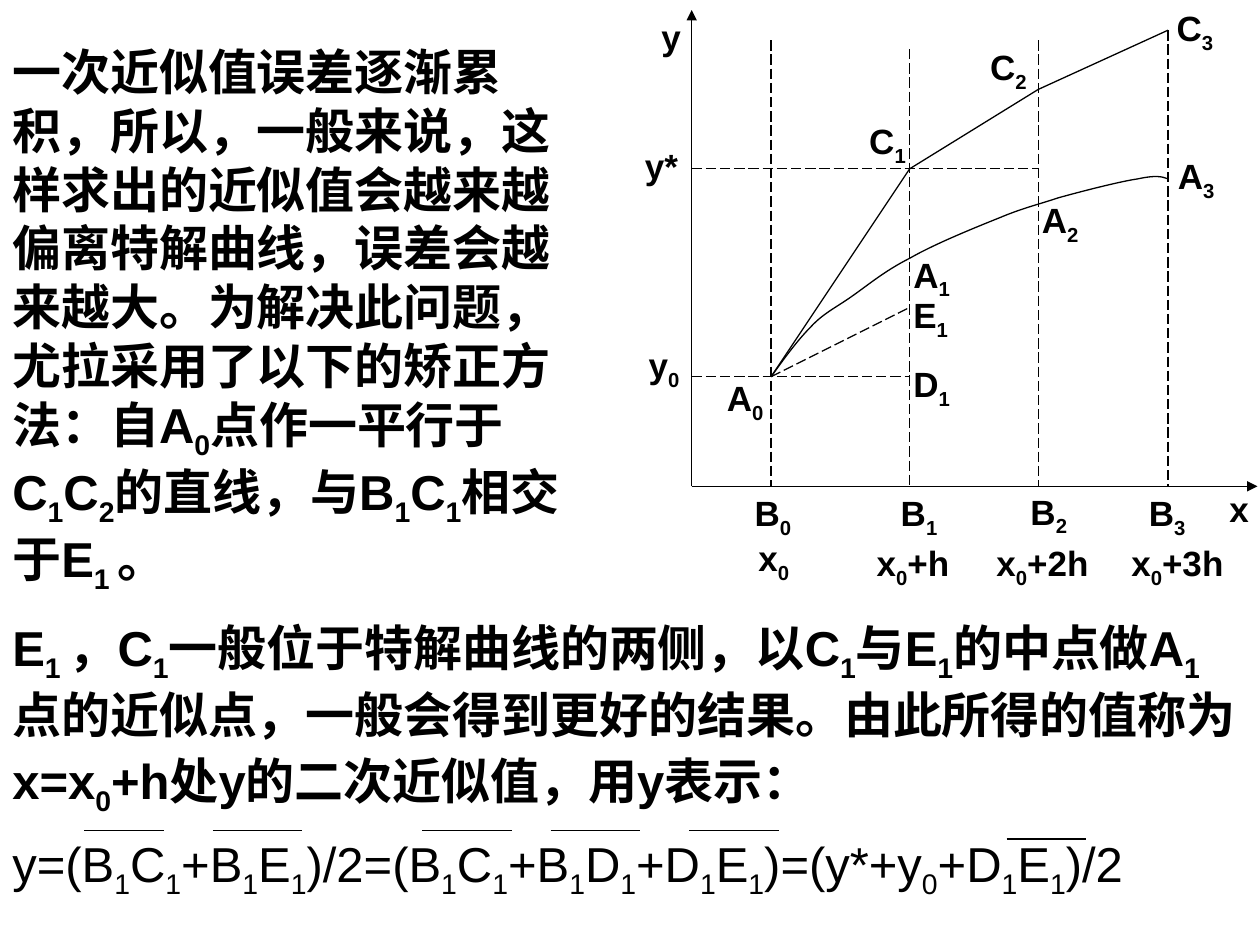
from lxml import etree
from pptx import Presentation
from pptx.dml.color import RGBColor
from pptx.enum import dml, shapes, text
from pptx.oxml import ns
from pptx.util import Inches, Pt

BLACK = RGBColor(0, 0, 0)
FONT = "Arial"

AXIS_X, AXIS_Y = 0.49, 3.86
X0, X1, X2, X3 = 1.12, 2.22, 3.24, 4.27
START_Y, CHORD_Y = 2.99, 1.34
C2_Y, C3_Y = 0.71, 0.24

SOLUTION_CURVE = [
    (X0, START_Y),
    (1.22, 2.85), (1.33, 2.7), (1.43, 2.6),
    (1.53, 2.49), (1.62, 2.45), (1.75, 2.36),
    (1.88, 2.27), (2.02, 2.15), (X1, 2.05),
    (2.41, 1.94), (2.73, 1.81), (2.93, 1.73),
    (3.12, 1.65), (3.22, 1.63), (3.4, 1.57),
    (3.58, 1.52), (3.89, 1.44), (4.03, 1.42),
    (4.17, 1.39), (4.22, 1.4), (X3, 1.42),
]

SOLID_LINES = [
    (X0, START_Y, X1, CHORD_Y),
    (X1, CHORD_Y, X2, C2_Y),
    (X2, C2_Y, X3, C3_Y),
]
AXES = [
    (AXIS_X, AXIS_Y, 4.98, AXIS_Y),
    (AXIS_X, AXIS_Y, AXIS_X, 0.08),
]
DASHED_LINES = [
    (X0, 0.32, X0, AXIS_Y),
    (X1, 0.39, X1, AXIS_Y),
    (X2, 0.32, X2, AXIS_Y),
    (X3, C3_Y, X3, AXIS_Y),
    (AXIS_X, START_Y, X1, START_Y),
    (AXIS_X, CHORD_Y, X2, CHORD_Y),
    (X0, START_Y, X1, 2.44),
]

LABELS = [
    ("A|0", 0.67, 2.94, 0.5), ("A|1", 2.15, 1.96, 0.5),
    ("A|2", 3.17, 1.53, 0.5), ("A|3", 4.25, 1.18, 0.5),
    ("C|1", 1.8, 0.9, 0.5), ("C|2", 2.76, 0.31, 0.5),
    ("C|3", 4.24, 0, 0.5), ("E|1", 2.15, 2.28, 0.5),
    ("D|1", 2.15, 2.83, 0.5), ("y", 0.15, 0.07, 0.36),
    ("x", 4.66, 3.82, 0.36), ("B|0", 0.89, 3.85, 0.5),
    ("B|1", 2.05, 3.85, 0.5), ("B|2", 3.08, 3.84, 0.5),
    ("B|3", 4.02, 3.85, 0.5), ("y|0", 0.05, 2.68, 0.46),
    ("y*", 0.02, 1.1, 0.48), ("x|0", 0.92, 4.21, 0.46),
    ("x|0|+h", 1.86, 4.25, 0.8), ("x|0|+2h", 2.81, 4.25, 0.95),
    ("x|0|+3h", 3.88, 4.25, 0.95),
]

PROBLEM = (
    "一次近似值误差逐渐累积，所以，一般来说，这样求出的近似值会越来越"
    "偏离特解曲线，误差会越来越大。为解决此问题，尤拉采用了以下的矫正方法："
    "自A|0|点作一平行于C|1|C|2|的直线，与B|1|C|1|相交于E|1 |。"
)
CORRECTION = (
    "E|1 |，C|1|一般位于特解曲线的两侧，以C|1|与E|1|的中点做A|1|点的近似点，"
    "一般会得到更好的结果。由此所得的值称为x=x|0|+h处y的二次近似值，用y表示："
)
FORMULA = (
    "y=(B|1|C|1|+B|1|E|1|)/2=(B|1|C|1|+B|1|D|1|+D|1|E|1|)"
    "=(y*+y|0|+D|1|E|1|)/2"
)
OVERBARS = [
    (0.67, 0.08, 0.63), (1.69, 0.08, 0.71), (3.35, 0.08, 0.71),
    (4.37, 0.08, 0.71), (5.47, 0.08, 0.71), (7.99, 0.15, 0.63),
]


def add_span(para, words, size, bold, subscript=False):
    span = para.add_run()
    span.text = words
    span.font.name = FONT
    span.font.size = Pt(size)
    span.font.bold = bold
    span.font.color.rgb = BLACK
    if subscript:
        span._r.get_or_add_rPr().set("baseline", "-25000")


def add_text(parent, left, top, width, height, marked, size, bold=True, wrap=True, end_size=None):
    box = parent.add_textbox(Inches(left), Inches(top), Inches(width), Inches(height))
    frame = box.text_frame
    frame.word_wrap = wrap
    frame.auto_size = text.MSO_AUTO_SIZE.SHAPE_TO_FIT_TEXT
    para = frame.paragraphs[0]
    para._p.get_or_add_pPr().set("hangingPunct", "0")
    for index, words in enumerate(marked.split("|")):
        if words:
            add_span(para, words, size, bold, subscript=index % 2 == 1)
    if end_size:
        add_span(para, " ", end_size, bold)


def style_line(line):
    line.color.rgb = BLACK
    line.width = Pt(0.75)


def add_line(parent, x1, y1, x2, y2, dashed=False, arrow=False):
    connector = parent.add_connector(
        shapes.MSO_CONNECTOR.STRAIGHT, Inches(x1), Inches(y1), Inches(x2), Inches(y2)
    )
    style_line(connector.line)
    if dashed:
        connector.line.dash_style = dml.MSO_LINE.LONG_DASH
    if arrow:
        etree.SubElement(connector.line._get_or_add_ln(), ns.qn("a:tailEnd"), type="triangle")
    etree.SubElement(connector._element.spPr, ns.qn("a:effectLst"))


def add_curve(parent, left, top, points):
    (start_x, start_y), *rest = [(Inches(left + x), Inches(top + y)) for x, y in points]
    builder = parent.build_freeform(start_x, start_y)
    builder.add_line_segments(rest, close=False)
    curve = builder.convert_to_shape()
    curve.shadow.inherit = False
    curve.fill.background()
    style_line(curve.line)
    outline = next(curve._element.iter(ns.qn("a:path")))
    segments = outline.findall(ns.qn("a:lnTo"))
    for first in range(0, len(segments), 3):
        cubic = etree.SubElement(outline, ns.qn("a:cubicBezTo"))
        for segment in segments[first:first + 3]:
            cubic.append(segment[0])
            outline.remove(segment)


def add_diagram(page, left, top):
    parent = page.shapes.add_group_shape().shapes
    for lines, options in (
        (SOLID_LINES, {}),
        (AXES, {"arrow": True}),
        (DASHED_LINES, {"dashed": True}),
    ):
        for x1, y1, x2, y2 in lines:
            add_line(parent, left + x1, top + y1, left + x2, top + y2, **options)
    add_curve(parent, left, top, SOLUTION_CURVE)
    for label, x, y, width in LABELS:
        height = 0.48 if "|" in label else 0.44
        add_text(parent, left + x, top + y, width, height, label, 20, wrap=False)


def add_formula(page, left, top, width, height):
    add_text(page.shapes, left, top, width, height, FORMULA, 28, bold=False, end_size=32)
    for x, y, length in OVERBARS:
        add_line(page.shapes, left + x, top + y, left + x + length, top + y)


def main():
    deck = Presentation()
    deck.slide_width, deck.slide_height = Inches(10), Inches(7.5)
    page = deck.slides.add_slide(deck.slide_layouts[6])
    add_diagram(page, 5, 0)
    add_text(page.shapes, 0, 0.28, 4.84, 4.43, PROBLEM, 28)
    add_text(page.shapes, 0, 4.85, 10, 1.75, CORRECTION, 28, end_size=32)
    add_formula(page, 0, 6.51, 10, 0.69)
    deck.save("out.pptx")


if __name__ == "__main__":
    main()
